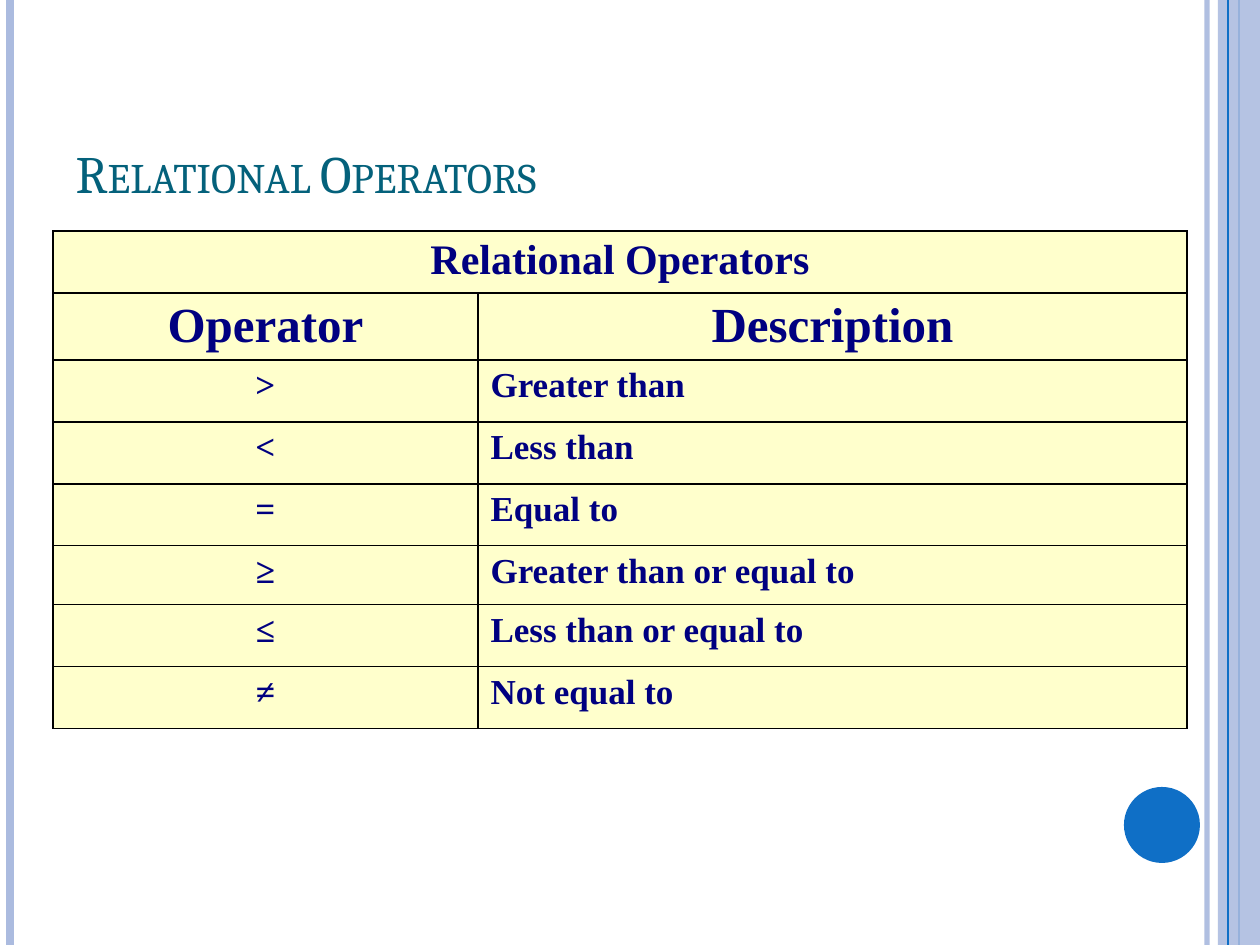
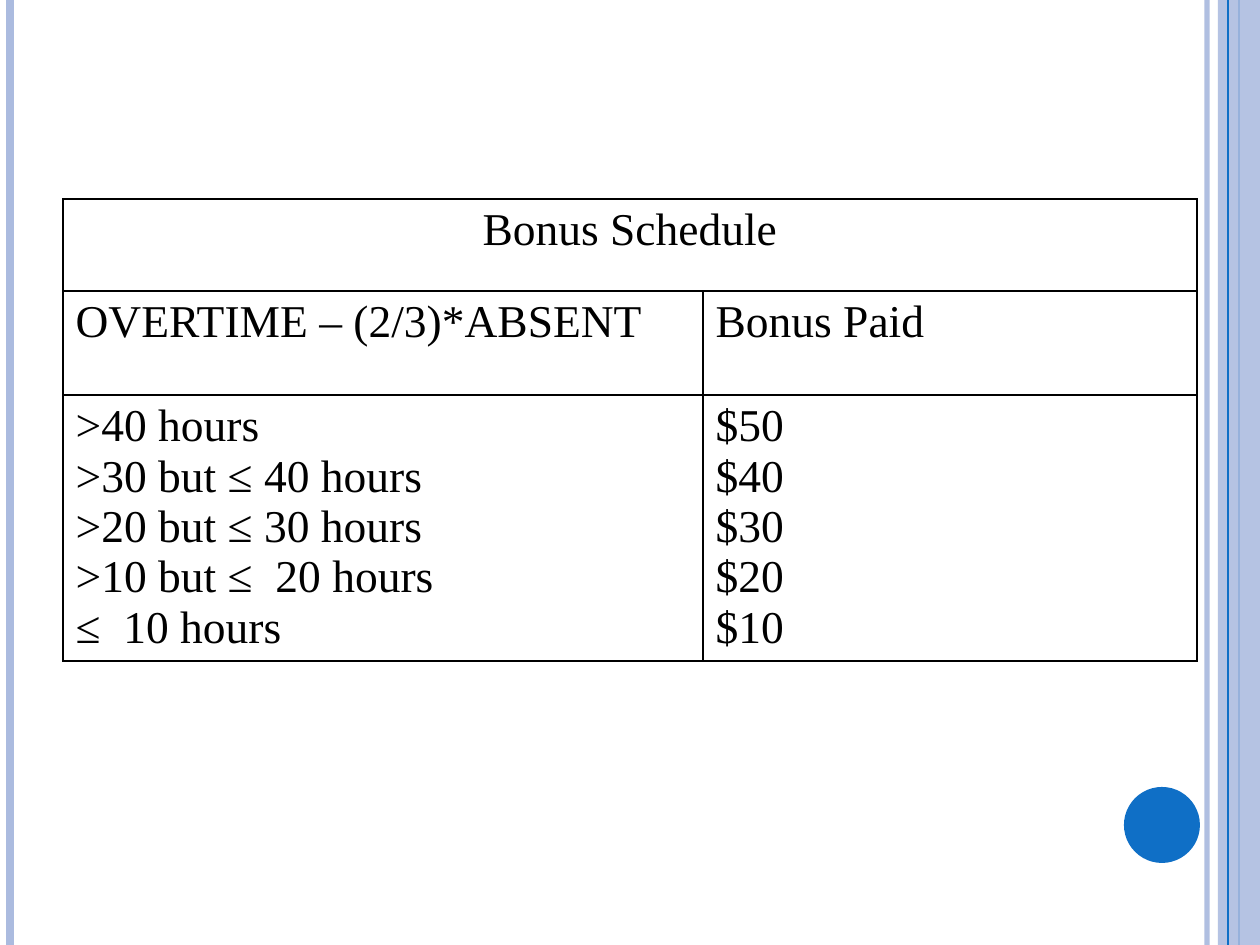
from lxml import etree
from pptx import Presentation, util as u
from pptx.dml.color import RGBColor
from pptx.enum import shapes, text
from pptx.oxml.ns import qn

# Shared look
EMU_PER_PX = 914400 / 126
WIDTH, HEIGHT = 1260, 945
BAND, ACCENT, TITLE = "ABBBDF", "0F6FC6", "04617B"
NAVY, CREAM, BLACK = "000080", "FFFFCC", "000000"
TABLE_FONT, TITLE_FONT = "Times New Roman", "Cambria"
HANGING = 48
LEFT, CENTER = text.PP_ALIGN.LEFT, text.PP_ALIGN.CENTER

OPERATORS = [
    (">", "Greater than"),
    ("<", "Less than"),
    ("=", "Equal to"),
    ("≥", "Greater than or equal to"),
    ("≤", "Less than or equal to"),
    ("≠", "Not equal to"),
]
BONUSES = [
    (">40 hours", "$50"),
    (">30 but ≤ 40 hours", "$40"),
    (">20 but ≤ 30 hours", "$30"),
    (">10 but ≤  20 hours", "$20"),
    ("≤  10 hours", "$10"),
]


def px(length):
    return u.Emu(round(length * EMU_PER_PX))


def rgb(color):
    return RGBColor.from_string(color)


def paint(fill, color, opacity=100):
    fill.solid()
    fill.fore_color.rgb = rgb(color)
    if opacity < 100:
        choice = fill._xPr.find(qn("a:solidFill"))[0]
        etree.SubElement(choice, qn("a:alpha"), val=str(opacity * 1000))


def write(frame, content, *, size, color, font=TABLE_FONT, bold=False,
          align=LEFT, hanging=0, small_caps=False):
    """Fill a text frame, one paragraph for each line of content."""
    for index, line in enumerate(content.split("\n")):
        para = frame.add_paragraph() if index else frame.paragraphs[0]
        para.alignment = align
        if hanging:
            properties = para._p.get_or_add_pPr()
            properties.set("marL", str(px(hanging)))
            properties.set("indent", str(-px(hanging)))
        span = para.add_run()
        span.text = line
        span.font.name, span.font.size = font, u.Pt(size)
        span.font.bold, span.font.color.rgb = bold, rgb(color)
        if small_caps:
            span.font._element.set("cap", "small")


def add_rule(page, x, color, weight, opacity=100):
    """Draw a vertical line over the full height of the page."""
    rule = page.shapes.add_connector(
        shapes.MSO_CONNECTOR.STRAIGHT, px(x), 0, px(x), px(HEIGHT))
    rule.line.width = u.Pt(weight)
    paint(rule.line.fill, color, opacity)
    etree.SubElement(rule._element.spPr, qn("a:effectLst"))


def add_block(page, kind, x, y, width, height, color, opacity=100):
    block = page.shapes.add_shape(kind, px(x), px(y), px(width), px(height))
    block.shadow.inherit = False
    block.line.fill.background()
    paint(block.fill, color, opacity)


def add_decoration(page):
    add_rule(page, 1207, BAND, 3, 93)
    add_rule(page, 10, BAND, 4.5)
    add_rule(page, 1239, ACCENT, 1.5)
    add_block(page, shapes.MSO_SHAPE.RECTANGLE, 1218, 0, 42, HEIGHT, BAND, 87)
    add_rule(page, 1228, ACCENT, 0.75)
    add_block(page, shapes.MSO_SHAPE.OVAL, 1124, 787, 76, 76, ACCENT)


def add_title(page, content):
    title = page.shapes.title
    title.left, title.top, title.width, title.height = map(px, (63, 21, 1134, 189))
    title.text_frame.auto_size = text.MSO_AUTO_SIZE.NONE
    title.text_frame.vertical_anchor = text.MSO_ANCHOR.BOTTOM
    write(title.text_frame, content, size=30, color=TITLE, font=TITLE_FONT,
          small_caps=True)


def add_borders(cell, color=BLACK, weight=1):
    properties = cell._tc.get_or_add_tcPr()
    for index, side in enumerate(("lnL", "lnR", "lnT", "lnB")):
        edge = etree.Element(qn(f"a:{side}"), w=str(u.Pt(weight)))
        fill = etree.SubElement(edge, qn("a:solidFill"))
        etree.SubElement(fill, qn("a:srgbClr"), val=color)
        properties.insert(index, edge)


def add_grid(page, x, y, columns, heights, rows, formats, fill=None):
    """Add a table whose first row is one heading across both columns."""
    table = page.shapes.add_table(
        len(rows), len(columns), px(x), px(y), px(sum(columns)), px(sum(heights))).table
    table.first_row = table.horz_banding = False
    for column, width in zip(table.columns, columns):
        column.width = px(width)
    for row, height in zip(table.rows, heights):
        row.height = px(height)
    table.cell(0, 0).merge(table.cell(0, len(columns) - 1))
    for r, row in enumerate(rows):
        for c in range(len(columns)):
            cell = table.cell(r, c)
            if fill:
                paint(cell.fill, fill)
            else:
                cell.fill.background()
            add_borders(cell)
            if c < len(row):
                write(cell.text_frame, row[c], hanging=HANGING, **formats(r, c))


def operator_format(row, column):
    return dict(size={0: 24, 1: 28}.get(row, 20), color=NAVY, bold=True,
                align=LEFT if row > 1 and column else CENTER)


def bonus_format(row, column):
    return dict(size=26, color=BLACK, align=LEFT if row else CENTER)


def main():
    deck = Presentation()
    deck.slide_width, deck.slide_height = px(WIDTH), px(HEIGHT)
    title_only, blank = deck.slide_layouts[5], deck.slide_layouts[6]

    # Relational operators
    page = deck.slides.add_slide(title_only)
    add_decoration(page)
    add_title(page, "Relational Operators")
    rows = [("Relational Operators",), ("Operator", "Description"), *OPERATORS]
    add_grid(page, 53, 231, (425, 709), (62, 62, 62, 62, 62, 59, 62, 62),
             rows, operator_format, CREAM)

    # Bonus schedule
    page = deck.slides.add_slide(blank)
    add_decoration(page)
    rows = [("Bonus Schedule",), ("OVERTIME – (2/3)*ABSENT", "Bonus Paid"),
            ["\n".join(lines) for lines in zip(*BONUSES)]]
    add_grid(page, 63, 199, (640, 494), (92, 104, 266), rows, bonus_format)

    deck.save("out.pptx")


if __name__ == "__main__":
    main()
